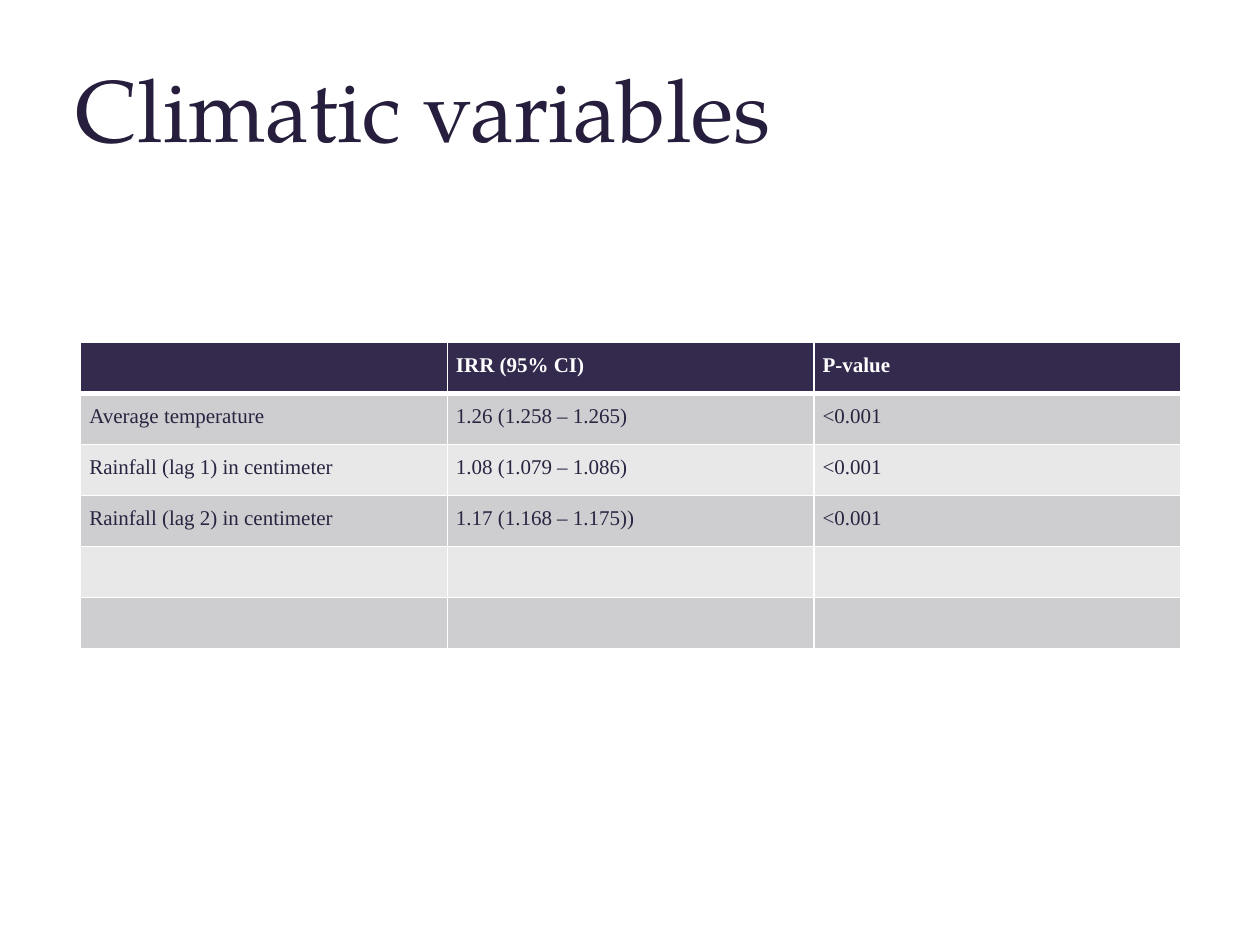
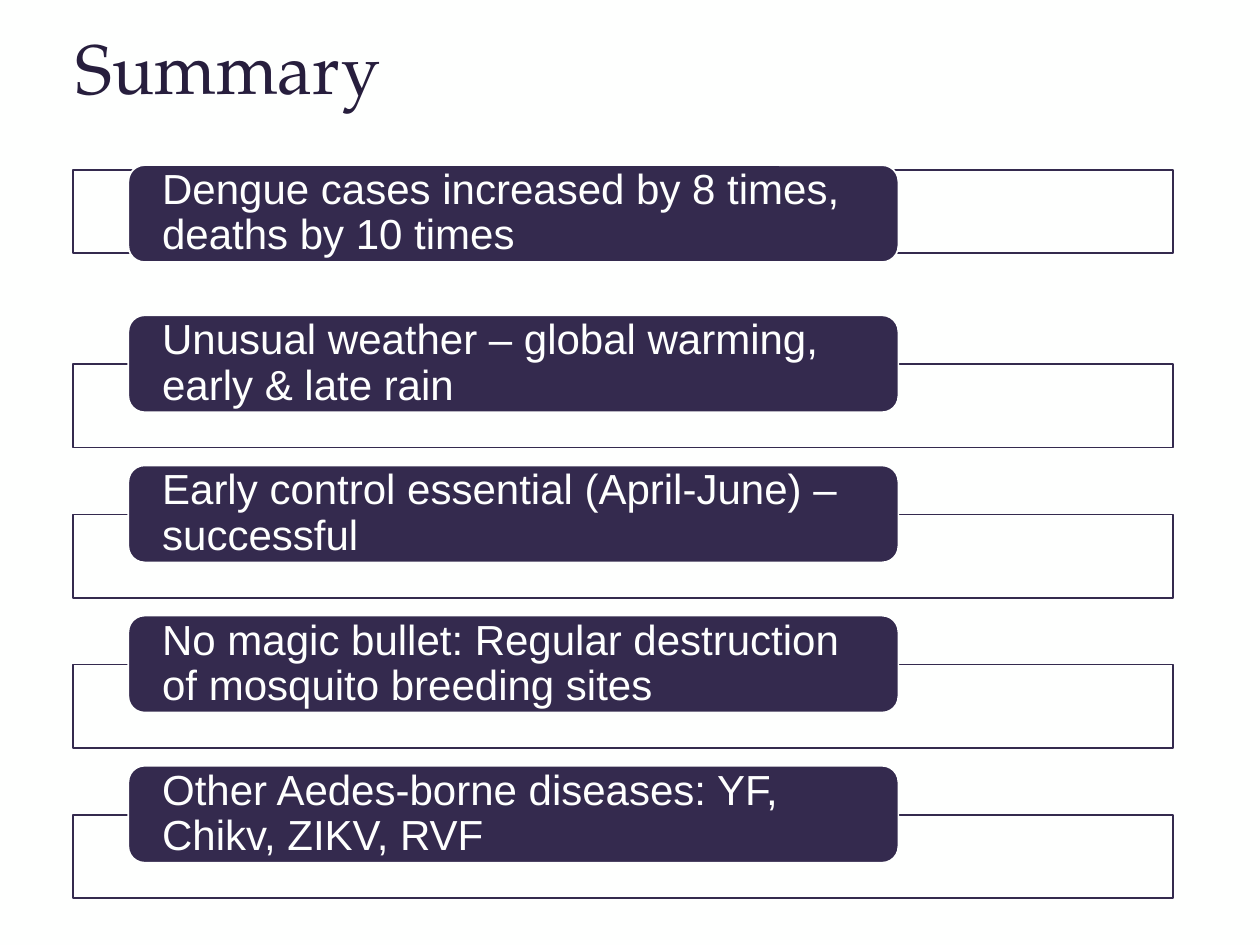
from lxml.etree import SubElement
from pptx import Presentation
from pptx.dml.color import RGBColor
from pptx.enum.shapes import MSO_SHAPE
from pptx.enum.text import MSO_ANCHOR, PP_ALIGN
from pptx.oxml.ns import qn
from pptx.util import Pt

PAPER = "FEFFFE"
PLUM = "342A4E"
TITLE_INK = "271E3D"
TABLE_INK = "282541"
BAND_FILLS = ["E8E8E9", "CECDD0"]
TITLE_FONT = "TeX Gyre Pagella"
TABLE_FONT = "Times New Roman"
LABEL_FONT = "Arial"

CLIMATE_ROWS = [
    ["", "IRR (95% CI)", "P-value"],
    ["Average temperature", "1.26 (1.258 – 1.265)", "<0.001"],
    ["Rainfall (lag 1) in centimeter", "1.08 (1.079 – 1.086)", "<0.001"],
    ["Rainfall (lag 2) in centimeter", "1.17 (1.168 – 1.175))", "<0.001"],
    ["", "", ""],
    ["", "", ""],
]
SUMMARY_POINTS = [
    "Dengue cases increased by 8 times, deaths by 10 times",
    "Unusual weather – global warming, early & late rain",
    "Early control essential (April-June) – successful",
    "No magic bullet: Regular destruction of mosquito breeding sites",
    "Other Aedes-borne diseases: YF, Chikv, ZIKV, RVF",
]
LABEL_TOP = 94.4
LABEL_PITCH = 85.8
FIRST_BAR_DROP = 2.8
BAR_DROP = 28


def color(hex_string):
    return RGBColor.from_string(hex_string)


def write_text(frame, text, *, font, size, ink, bold=False, line_spacing=0.9,
               space_after=0, side_margin=0, anchor=MSO_ANCHOR.TOP):
    frame.word_wrap = True
    frame.vertical_anchor = anchor
    frame.margin_left = frame.margin_right = Pt(side_margin)
    frame.margin_top = frame.margin_bottom = 0
    paragraph = frame.paragraphs[0]
    paragraph.text = text
    paragraph.alignment = PP_ALIGN.LEFT
    paragraph.line_spacing = line_spacing
    paragraph.space_before = Pt(0)
    paragraph.space_after = Pt(space_after)
    paragraph.font.name = font
    paragraph.font.size = Pt(size)
    paragraph.font.bold = bold
    paragraph.font.color.rgb = color(ink)


def add_titled_slide(presentation, title, top, size):
    slide = presentation.slides.add_slide(presentation.slide_layouts[6])
    slide.background.fill.solid()
    slide.background.fill.fore_color.rgb = color(PAPER)
    box = slide.shapes.add_textbox(Pt(43.2), Pt(top), Pt(627), Pt(42))
    write_text(box.text_frame, title, font=TITLE_FONT, size=size, ink=TITLE_INK)
    return slide


def add_block(slide, preset, left, top, width, height, fill, line):
    shape = slide.shapes.add_shape(preset, Pt(left), Pt(top), Pt(width), Pt(height))
    shape.shadow.inherit = False
    shape.fill.solid()
    shape.fill.fore_color.rgb = color(fill)
    shape.line.color.rgb = color(line)
    shape.line.width = Pt(1)
    return shape


def set_borders(cell, widths):
    properties = cell._tc.get_or_add_tcPr()
    for side, width in widths.items():
        line = SubElement(properties, qn(f"a:ln{side}"), w=str(Pt(width)))
        fill = SubElement(line, qn("a:solidFill"))
        SubElement(fill, qn("a:srgbClr"), val=PAPER)


def add_climate_table(slide):
    row_height, column_width = 29.16, 209.5
    row_count, column_count = len(CLIMATE_ROWS), len(CLIMATE_ROWS[0])
    table = slide.shapes.add_table(
        row_count, column_count, Pt(46.1), Pt(195.8),
        Pt(column_width * column_count), Pt(row_height * row_count)).table
    table.horz_banding = False
    for column in table.columns:
        column.width = Pt(column_width)
    for row_index, values in enumerate(CLIMATE_ROWS):
        table.rows[row_index].height = Pt(row_height)
        header = row_index == 0
        for column_index, value in enumerate(values):
            cell = table.cell(row_index, column_index)
            write_text(cell.text_frame, value, font=TABLE_FONT, size=12,
                       ink=PAPER if header else TABLE_INK, bold=header,
                       line_spacing=1.5, space_after=8)
            cell.margin_left = cell.margin_right = Pt(5)
            cell.margin_top = cell.margin_bottom = 0
            cell.vertical_anchor = MSO_ANCHOR.TOP
            set_borders(cell, {"L": 1, "R": 1, "T": 3 if row_index == 1 else 1,
                               "B": 3 if header else 1})
            cell.fill.solid()
            cell.fill.fore_color.rgb = color(PLUM if header else BAND_FILLS[row_index % 2])


def add_summary_point(slide, index, text):
    top = LABEL_TOP + index * LABEL_PITCH
    bar_top = top + (BAR_DROP if index else FIRST_BAR_DROP)
    add_block(slide, MSO_SHAPE.RECTANGLE, 41.8, bar_top, 628.6, 47.6, PAPER, PLUM)
    label = add_block(slide, MSO_SHAPE.ROUNDED_RECTANGLE,
                      73.4, top, 440, 55.4, PLUM, PAPER)
    write_text(label.text_frame, text, font=LABEL_FONT, size=24, ink=PAPER,
               side_margin=16.6, anchor=MSO_ANCHOR.MIDDLE)


def main():
    presentation = Presentation()
    presentation.slide_width = Pt(720)
    presentation.slide_height = Pt(540)
    add_climate_table(add_titled_slide(presentation, "Climatic variables", 38.2, 50))
    summary = add_titled_slide(presentation, "Summary", 19.4, 40)
    for index, text in enumerate(SUMMARY_POINTS):
        add_summary_point(summary, index, text)
    presentation.save("out.pptx")


if __name__ == "__main__":
    main()
